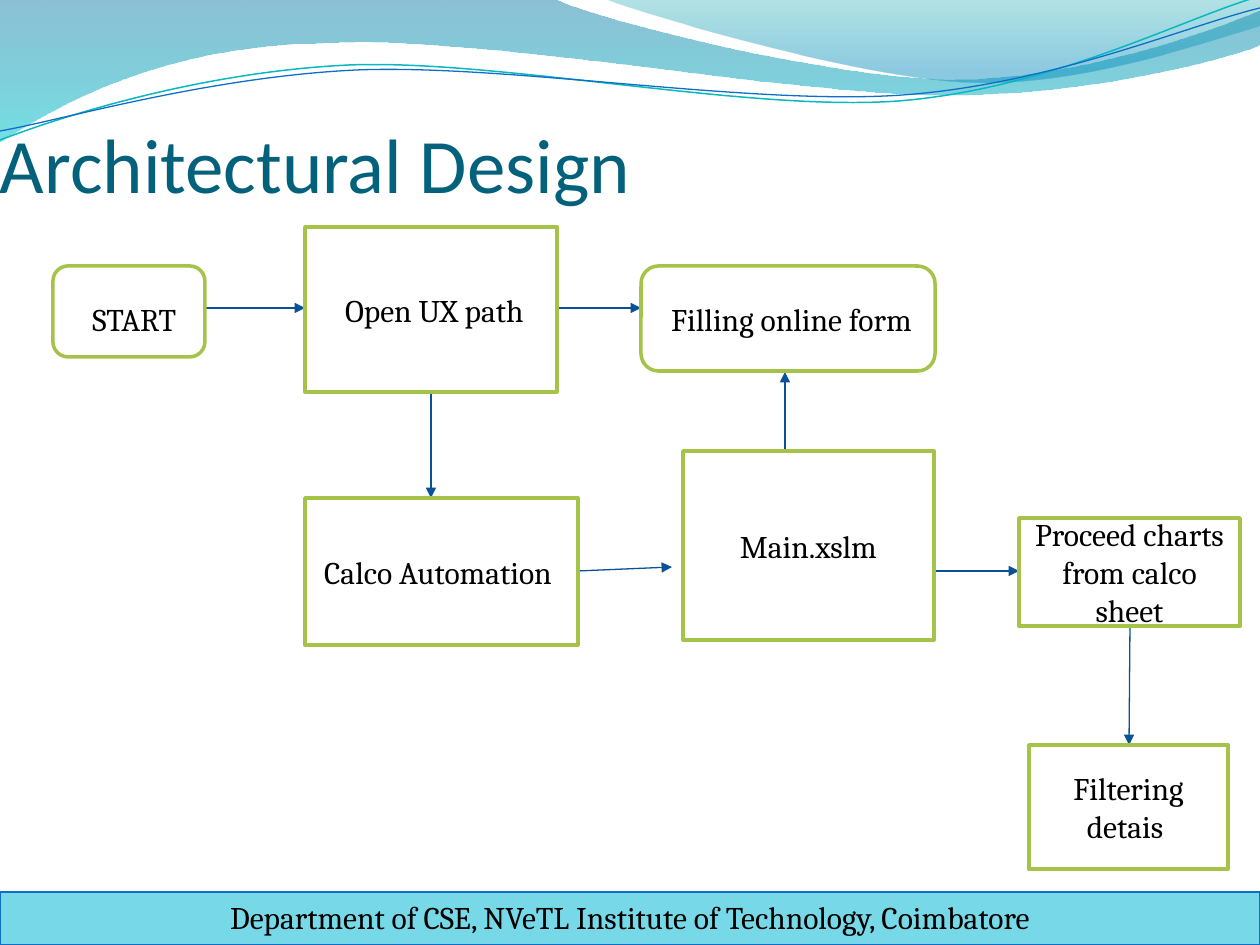
from lxml import etree
from pptx import Presentation
from pptx import util as u
from pptx.dml.color import RGBColor
from pptx.enum import shapes, text
from pptx.oxml.ns import qn

PX = 914400 / 126
COLORS = {
    "title": "04617B", "ink": "000000", "paper": "FFFFFF", "node": "A5C249",
    "arrow": "095295", "footer": "77D9E8", "blue": "0F6FC6", "teal": "0AB8BF",
    "wave top": "0074A1", "wave end": "00C6CF",
    "crest top": "00A1A9", "crest end": "008BBF",
}
WAVES = [
    ([(0, -1), (554, -1), (600, 21, 837, 79, 955, 79), (1075, 79, 1207, 33, 1260, 11),
      (1261, 45), (1239, 55, 1096, 96, 940, 95), (784, 94, 481, 35, 324, 43),
      (163, 45, 58, 105, -1, 142), (0, -1)],
     [("wave top", 0, 45), ("wave end", 1, 55)]),
    ([(604, -1), (641, 14, 859, 78, 969, 82), (1079, 87, 1211, 40, 1260, 26),
      (1260, 0), (604, -1)],
     [("crest top", 0, 30), ("crest end", 0.8, 45)]),
]
RIPPLES = [
    ([(0, 140), (60, 117, 199, 72, 349, 65), (498, 59, 747, 112, 898, 101),
      (1050, 89, 1182, 19, 1257, -3)], "teal", 0.85),
    ([(0, 131), (59, 121, 207, 77, 357, 70), (508, 64, 752, 106, 903, 95),
      (1053, 84, 1186, 26, 1260, 8)], "blue", 0.75),
]
ARROWS = [
    (169, 308, 305, 308), (557, 308, 641, 308), (431, 392, 431, 498),
    (578, 571, 672, 567), (930, 571, 1019, 571), (785, 462, 785, 372),
    (1130, 626, 1129, 745),
]
RECT, ROUND = shapes.MSO_SHAPE.RECTANGLE, shapes.MSO_SHAPE.ROUNDED_RECTANGLE
NODES = [
    (ROUND, 53, 266, 152, 91, [(" ", 28), ("START", 18)]),
    (RECT, 305, 227, 252, 165, [(" Open UX path", 18)]),
    (RECT, 305, 498, 273, 147, [("Calco Automation ", 18)]),
    (ROUND, 641, 266, 294, 105, [(" Filling online form", 18)]),
    (RECT, 1029, 745, 199, 124, [("Filtering detais ", 18)]),
    (RECT, 1019, 518, 221, 108, [("Proceed charts from calco sheet", 18)]),
    (RECT, 683, 451, 251, 189, [("Main.xslm", 18)]),
]
FOOTER = [("Department of CSE, NVeTL Institute of Technology, Coimbatore", 18)]


def rgb(name):
    return RGBColor.from_string(COLORS[name])


def px(*values):
    return [u.Emu(round(value * PX)) for value in values]


def set_line(shape, color, width):
    shape.line.color.rgb = rgb(color)
    shape.line.width = u.Pt(width)


def add_outline(page, segments, close):
    points = [px(*segment[i:i + 2]) for segment in segments
              for i in range(0, len(segment), 2)]
    builder = page.shapes.build_freeform(*points[0], scale=1.0)
    builder.add_line_segments(points[1:], close=close)
    shape = builder.convert_to_shape()
    shape.shadow.inherit = False
    corners = list(shape._element.spPr.iter(qn("a:lnTo")))
    for segment in segments[1:]:
        count = len(segment) // 2
        used, corners = corners[:count], corners[count:]
        if count == 3:
            curve = etree.Element(qn("a:cubicBezTo"))
            used[0].addprevious(curve)
            for corner in used:
                curve.append(corner[0])
                corner.getparent().remove(corner)
    return shape


def add_wave(page, segments, stops):
    shape = add_outline(page, segments, True)
    shape.line.fill.background()
    shape.fill.gradient()
    shape.fill.gradient_angle = 270
    for stop, (color, position, _) in zip(shape.fill.gradient_stops, stops):
        stop.position = position
        stop.color.rgb = rgb(color)
    for element, (_, _, alpha) in zip(shape._element.spPr.iter(qn("a:srgbClr")), stops):
        etree.SubElement(element, qn("a:alpha"), val=str(alpha * 1000))


def add_ripple(page, segments, color, width):
    shape = add_outline(page, segments, False)
    shape.fill.background()
    set_line(shape, color, width)


def add_arrow(page, *ends):
    arrow = page.shapes.add_connector(shapes.MSO_CONNECTOR.STRAIGHT, *px(*ends))
    set_line(arrow, "arrow", 0.75)
    etree.SubElement(arrow.line._get_or_add_ln(), qn("a:tailEnd"), type="triangle")
    etree.SubElement(arrow._element.spPr, qn("a:effectLst"))


def add_box(page, kind, left, top, width, height, spans, fill, line, weight,
            anchor=text.MSO_ANCHOR.MIDDLE):
    box = page.shapes.add_shape(kind, *px(left, top, width, height))
    box.shadow.inherit = False
    box.fill.solid()
    box.fill.fore_color.rgb = rgb(fill)
    set_line(box, line, weight)
    frame = box.text_frame
    frame.word_wrap = True
    frame.vertical_anchor = anchor
    para = frame.paragraphs[0]
    para.alignment = text.PP_ALIGN.CENTER
    para.font.name = "Cambria"
    para.font.color.rgb = rgb("ink")
    for words, size in spans:
        span = para.add_run()
        span.text = words
        span.font.size = u.Pt(size)


def add_title(page, words):
    frame = page.shapes.add_textbox(*px(0, 52, 1134, 157)).text_frame
    frame.word_wrap = True
    frame.vertical_anchor = text.MSO_ANCHOR.BOTTOM
    frame.margin_left = frame.margin_right = frame.margin_bottom = 0
    para = frame.paragraphs[0]
    para.text = words
    para.font.name = "Calibri"
    para.font.size = u.Pt(44)
    para.font.color.rgb = rgb("title")


def main():
    deck = Presentation()
    deck.slide_width, deck.slide_height = u.Inches(10), u.Inches(7.5)
    page = deck.slides.add_slide(deck.slide_layouts[6])
    for wave in WAVES:
        add_wave(page, *wave)
    for ripple in RIPPLES:
        add_ripple(page, *ripple)
    add_title(page, "Architectural Design")
    add_box(page, RECT, 0, 892, 1260, 53, FOOTER, "footer", "blue", 0.75,
            text.MSO_ANCHOR.TOP)
    for arrow in ARROWS:
        add_arrow(page, *arrow)
    for node in NODES:
        add_box(page, *node, "paper", "node", 2)
    deck.save("out.pptx")


if __name__ == "__main__":
    main()
